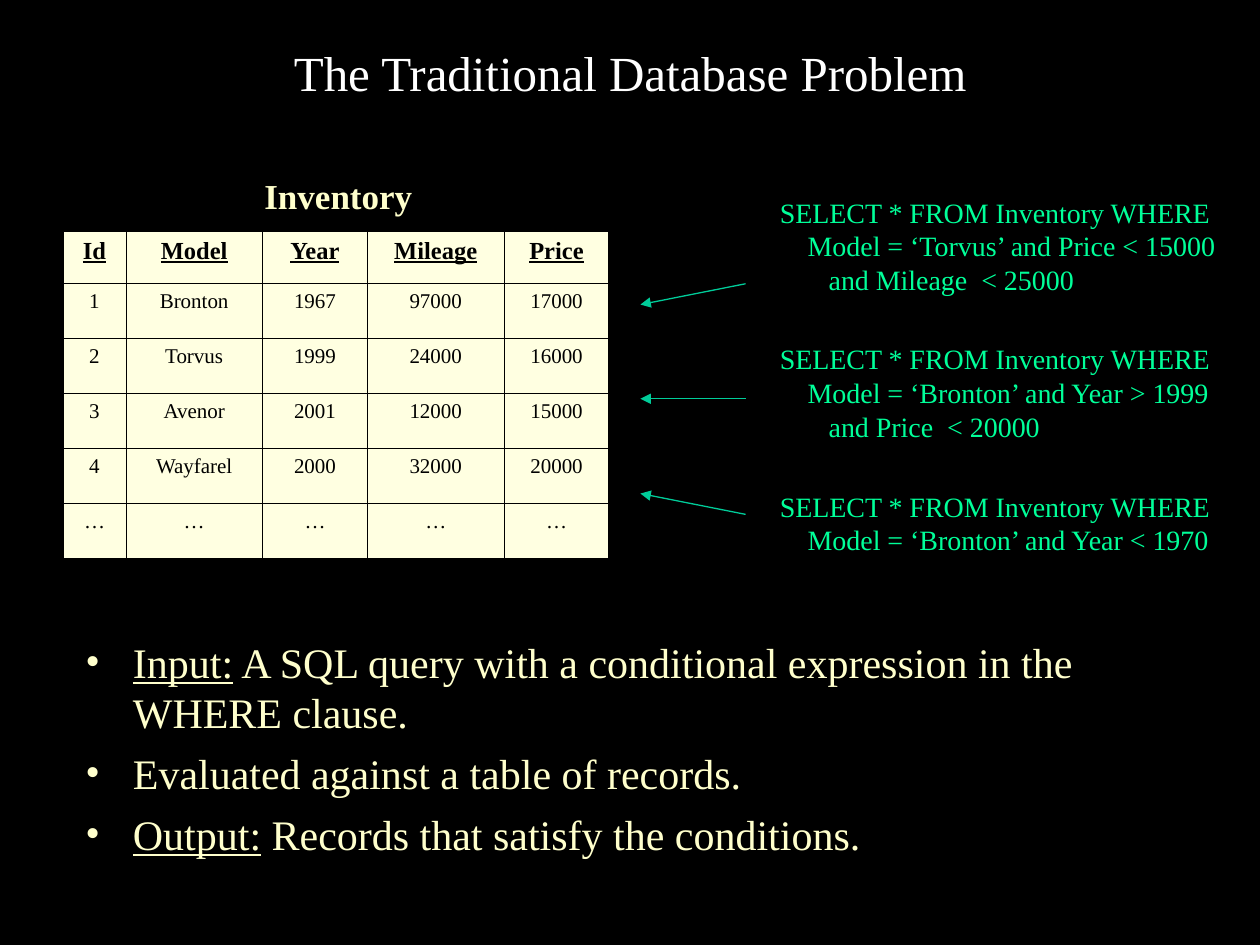
from lxml import etree
from pptx import Presentation
from pptx.dml.color import RGBColor
from pptx.enum import shapes, text
from pptx.oxml import ns
from pptx.util import Cm, Pt

FONT = "Times New Roman"
HUES = {
    "back": "000000",
    "title": "FFFFFF",
    "cream": "FFFFCC",
    "cell": "FFFFE1",
    "ink": "000000",
    "code": "00FF99",
    "arrow": "00CC99",
}


def write(frame, lines, size, hue, bold=False, align="LEFT", gap=0, bullet=None):
    """Fill a frame; a line given as a (lead, rest) pair has its lead underlined."""
    for i, line in enumerate(lines):
        para = frame.paragraphs[0] if i == 0 else frame.add_paragraph()
        if bullet:
            props = para._p.get_or_add_pPr()
            props.set("marL", str(Cm(0.96)))
            props.set("indent", str(Cm(-0.96)))
            etree.SubElement(props, ns.qn("a:buFont")).set("typeface", FONT)
            etree.SubElement(props, ns.qn("a:buChar")).set("char", bullet)
        para.alignment = getattr(text.PP_ALIGN, align)
        if i and gap:
            para.space_before = Pt(gap)
        lead, rest = line if isinstance(line, tuple) else ("", line)
        for part, under in ((lead, True), (rest, False)):
            if part:
                run = para.add_run()
                run.text = part
                font = run.font
                font.name, font.size, font.bold = FONT, Pt(size), bold
                font.underline = under
                font.color.rgb = RGBColor.from_string(HUES[hue])


def edge(cell, side, width):
    """Draw one border of a cell; side is L, R, T or B."""
    line = etree.SubElement(cell._tc.get_or_add_tcPr(), ns.qn("a:ln" + side))
    line.set("w", str(Pt(width)))
    fill = etree.SubElement(line, ns.qn("a:solidFill"))
    etree.SubElement(fill, ns.qn("a:srgbClr")).set("val", HUES["ink"])


deck = Presentation()
deck.slide_width, deck.slide_height = Cm(25.4), Cm(19.05)
slide = deck.slides.add_slide(deck.slide_layouts[5])
slide.background.fill.solid()
slide.background.fill.fore_color.rgb = RGBColor.from_string(HUES["back"])

# Title
title = slide.shapes.title
title.left, title.top, title.width, title.height = Cm(2.33), Cm(0.64), Cm(20.75), Cm(1.63)
title.text_frame.vertical_anchor = text.MSO_ANCHOR.MIDDLE
write(title.text_frame, ["The Traditional Database Problem"], 28, "title", align="CENTER")

# Bullets
points = [
    ("Input:", " A SQL query with a conditional expression in the WHERE clause."),
    "Evaluated against a table of records.",
    ("Output:", " Records that satisfy the conditions."),
]
body = slide.shapes.add_textbox(Cm(1.47), Cm(12.7), Cm(22.43), Cm(4.88)).text_frame
body.word_wrap = True
write(body, points, 24, "cream", gap=6, bullet="•")

# Inventory table
rows = [
    ["Id", "Model", "Year", "Mileage", "Price"],
    ["1", "Bronton", "1967", "97000", "17000"],
    ["2", "Torvus", "1999", "24000", "16000"],
    ["3", "Avenor", "2001", "12000", "15000"],
    ["4", "Wayfarel", "2000", "32000", "20000"],
    ["…"] * 5,
]
widths = [1.27, 2.75, 2.12, 2.75, 2.12]
heights = [1.05] + [1.11] * 5
grid = slide.shapes.add_table(
    len(rows), len(widths), Cm(1.27), Cm(4.66), Cm(sum(widths)), Cm(sum(heights))
).table
grid.horz_banding = False
for col, width in zip(grid.columns, widths):
    col.width = Cm(width)
for r, row in enumerate(rows):
    grid.rows[r].height = Cm(heights[r])
    for c, word in enumerate(row):
        cell = grid.cell(r, c)
        outer = {"L": c == 0, "R": c == len(row) - 1, "T": r == 0, "B": r == len(rows) - 1}
        for side, thick in outer.items():
            edge(cell, side, 1.08 if thick else 0.45)
        cell.fill.solid()
        cell.fill.fore_color.rgb = RGBColor.from_string(HUES["cell"])
        if r == 0:
            write(cell.text_frame, [(word, "")], 14, "ink", bold=True, align="CENTER")
        else:
            write(cell.text_frame, [word], 12, "ink", align="CENTER")

# Table caption and queries
select = "SELECT * FROM Inventory WHERE"
labels = [
    (5.08, 3.39, 3.51, 1.09, ["Inventory"], 20, "cream", True),
    (15.47, 3.81, 9.35, 2.29,
     [select, "    Model = ‘Torvus’ and Price < 15000", "       and Mileage  < 25000"],
     16, "code", False),
    (15.47, 6.77, 9.4, 2.29,
     [select, "    Model = ‘Bronton’ and Year > 1999", "       and Price  < 20000"],
     16, "code", False),
    (15.47, 9.74, 9.4, 1.6,
     [select, "    Model = ‘Bronton’ and Year < 1970"], 16, "code", False),
]
for x, y, w, h, lines, size, hue, bold in labels:
    frame = slide.shapes.add_textbox(Cm(x), Cm(y), Cm(w), Cm(h)).text_frame
    frame.word_wrap = False
    frame.auto_size = text.MSO_AUTO_SIZE.SHAPE_TO_FIT_TEXT
    write(frame, lines, size, hue, bold=bold)

# Arrows from the queries to the table
for start, end in ((5.72, 6.14), (8.04, 8.04), (10.37, 9.95)):
    arrow = slide.shapes.add_connector(
        shapes.MSO_CONNECTOR.STRAIGHT, Cm(15.03), Cm(start), Cm(12.91), Cm(end)
    )
    arrow.line.width = Pt(0.75)
    arrow.line.color.rgb = RGBColor.from_string(HUES["arrow"])
    etree.SubElement(arrow.line._get_or_add_ln(), ns.qn("a:tailEnd")).set("type", "triangle")
    etree.SubElement(arrow._element.spPr, ns.qn("a:effectLst"))

deck.save("out.pptx")
